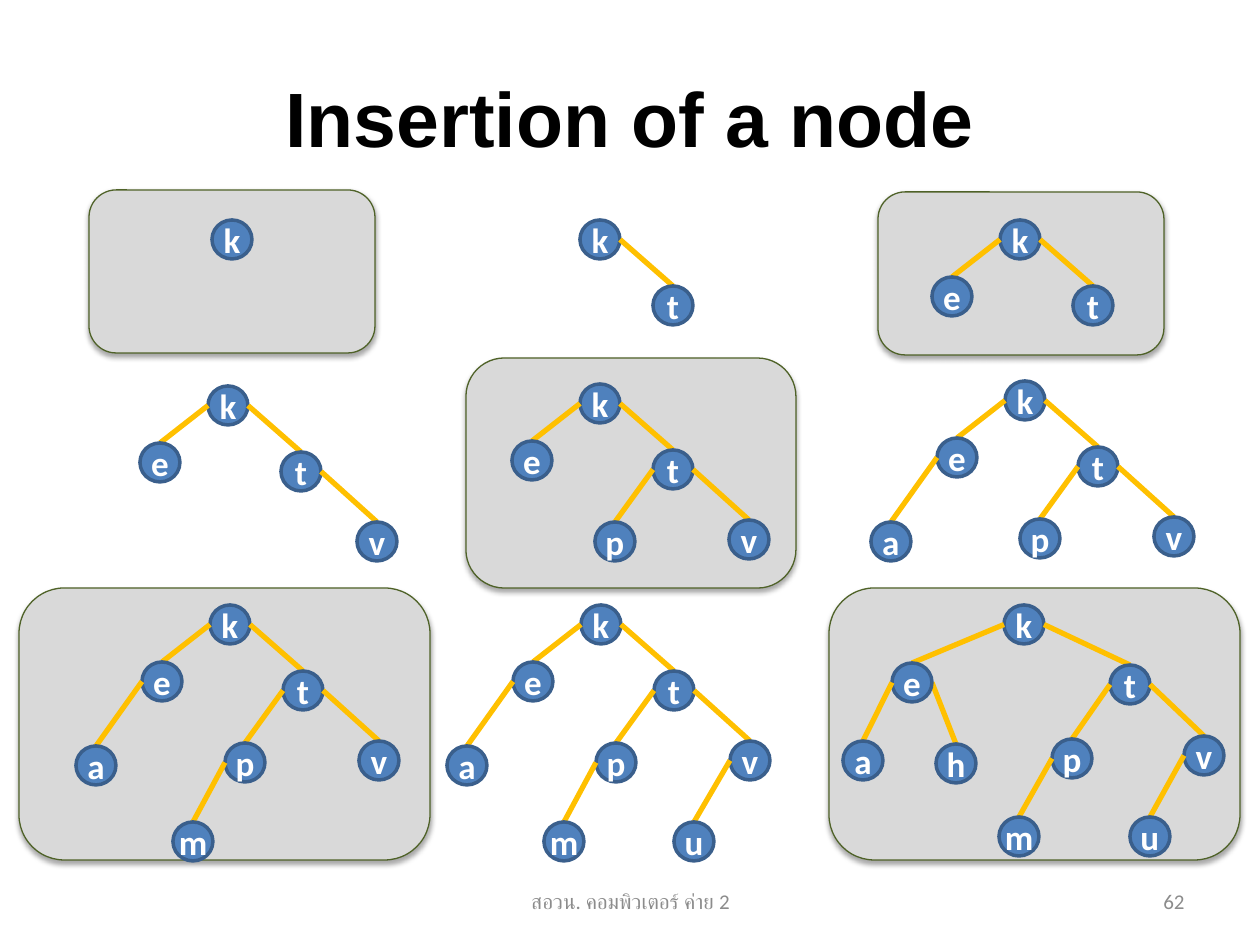
"""Build the slide on inserting nodes into a binary search tree."""
from lxml import etree
from pptx import Presentation
from pptx.dml.color import RGBColor
from pptx.enum.shapes import MSO_CONNECTOR, MSO_SHAPE
from pptx.enum.text import MSO_ANCHOR, PP_ALIGN
from pptx.oxml.ns import qn
from pptx.util import Pt

MID = MSO_ANCHOR.MIDDLE
CENTER, RIGHT = PP_ALIGN.CENTER, PP_ALIGN.RIGHT
ROUND, OVAL = MSO_SHAPE.ROUNDED_RECTANGLE, MSO_SHAPE.OVAL
LINE = MSO_CONNECTOR.STRAIGHT
SCALE = 914400 / 126
WIDE, HIGH = 40, 39

PANELS = [
    (89, 190, 286, 163), (878, 192, 286, 163), (466, 358, 330, 230),
    (19, 588, 411, 272), (829, 588, 411, 272),
]
TEXTS = [
    ("Insertion of a node", (63, 38, 1134, 157), CENTER, 44, "Arial", "000000", True),
    ("สอวน. คอมพิวเตอร์ ค่าย 2", (431, 876, 399, 50), CENTER, 12, "Calibri", "8C8C8C", False),
    ("62", (903, 876, 294, 50), RIGHT, 12, "Calibri", "8C8C8C", False),
]
PARENT = {"t": "k", "e": "k", "v": "t", "p": "t", "a": "e", "h": "e", "m": "p", "u": "v"}
TIGHT = {
    "k": (0, 0), "t": (73, 66), "e": (-68, 57), "v": (149, 136), "p": (15, 138),
    "a": (-134, 141), "m": (-37, 217), "u": (93, 217),
}
LOOSE = {
    "k": (0, 0), "t": (106, 60), "e": (-112, 58), "v": (180, 131), "p": (48, 134),
    "a": (-161, 136), "m": (-5, 212), "u": (126, 212), "h": (-68, 139),
}
TREES = [
    ("k", 212, 220, TIGHT), ("kt", 580, 220, TIGHT), ("kte", 1000, 220, TIGHT),
    ("ktev", 208, 386, TIGHT), ("ktevp", 580, 384, TIGHT), ("ktevpa", 1005, 381, TIGHT),
    ("ktevpam", 210, 605, TIGHT), ("ktevpamu", 581, 605, TIGHT),
    ("hktevpamu", 1004, 605, LOOSE),
]


def px(*nums):
    return [round(n * SCALE) for n in nums]


def color(code):
    return RGBColor.from_string(code)


def shape(home, kind, box, fill, edge, width):
    item = home.add_shape(kind, *px(*box))
    item.shadow.inherit = False
    item.fill.solid()
    item.fill.fore_color.rgb = color(fill)
    item.line.color.rgb = color(edge)
    item.line.width = Pt(width)
    return item


def write(item, text, align, size, font, code, bold):
    frame = item.text_frame
    frame.word_wrap = True
    frame.vertical_anchor = MID
    para = frame.paragraphs[0]
    para.alignment = align
    run = para.add_run()
    run.text = text
    run.font.size = Pt(size)
    run.font.name = font
    run.font.bold = bold
    run.font.color.rgb = color(code)


def panel(home, box):
    item = shape(home, ROUND, box, "D9D9D9", "4F6228", 0.75)
    effect = item._element.spPr.find(qn("a:effectLst"))
    shade = etree.SubElement(effect, qn("a:outerShdw"), blurRad=str(Pt(3.1)),
                             dist=str(Pt(1.8)), dir="5400000", rotWithShape="0")
    tone = etree.SubElement(shade, qn("a:srgbClr"), val="000000")
    etree.SubElement(tone, qn("a:alpha"), val="35000")


def node(home, name, x, y):
    item = shape(home, OVAL, (x, y, WIDE, HIGH), "4F81BD", "3A5F8C", 2)
    frame = item.text_frame
    frame.margin_left = frame.margin_right = frame.margin_top = frame.margin_bottom = 0
    write(item, name, CENTER, 20, "Calibri", "FFFFFF", True)


def link(home, start, end):
    side = WIDE if end[0] > start[0] else 0
    item = home.add_connector(LINE, *px(start[0] + side, start[1] + HIGH / 2,
                                        end[0] + WIDE / 2, end[1]))
    item.line.color.rgb = color("FFC000")
    item.line.width = Pt(3)
    etree.SubElement(item._element.spPr, qn("a:effectLst"))


def tree(home, names, x, y, plan):
    spots = {name: (x + dx, y + dy) for name, (dx, dy) in plan.items()}
    if len(names) > 1:
        home = home.add_group_shape().shapes
    for name in names:
        if name in PARENT:
            link(home, spots[PARENT[name]], spots[name])
        node(home, name, *spots[name])


deck = Presentation()
deck.slide_width, deck.slide_height = px(1260, 945)
shapes = deck.slides.add_slide(deck.slide_layouts[6]).shapes
for box in PANELS:
    panel(shapes, box)
for text, box, *style in TEXTS:
    write(shapes.add_textbox(*px(*box)), text, *style)
for row in TREES:
    tree(shapes, *row)
deck.save("out.pptx")
